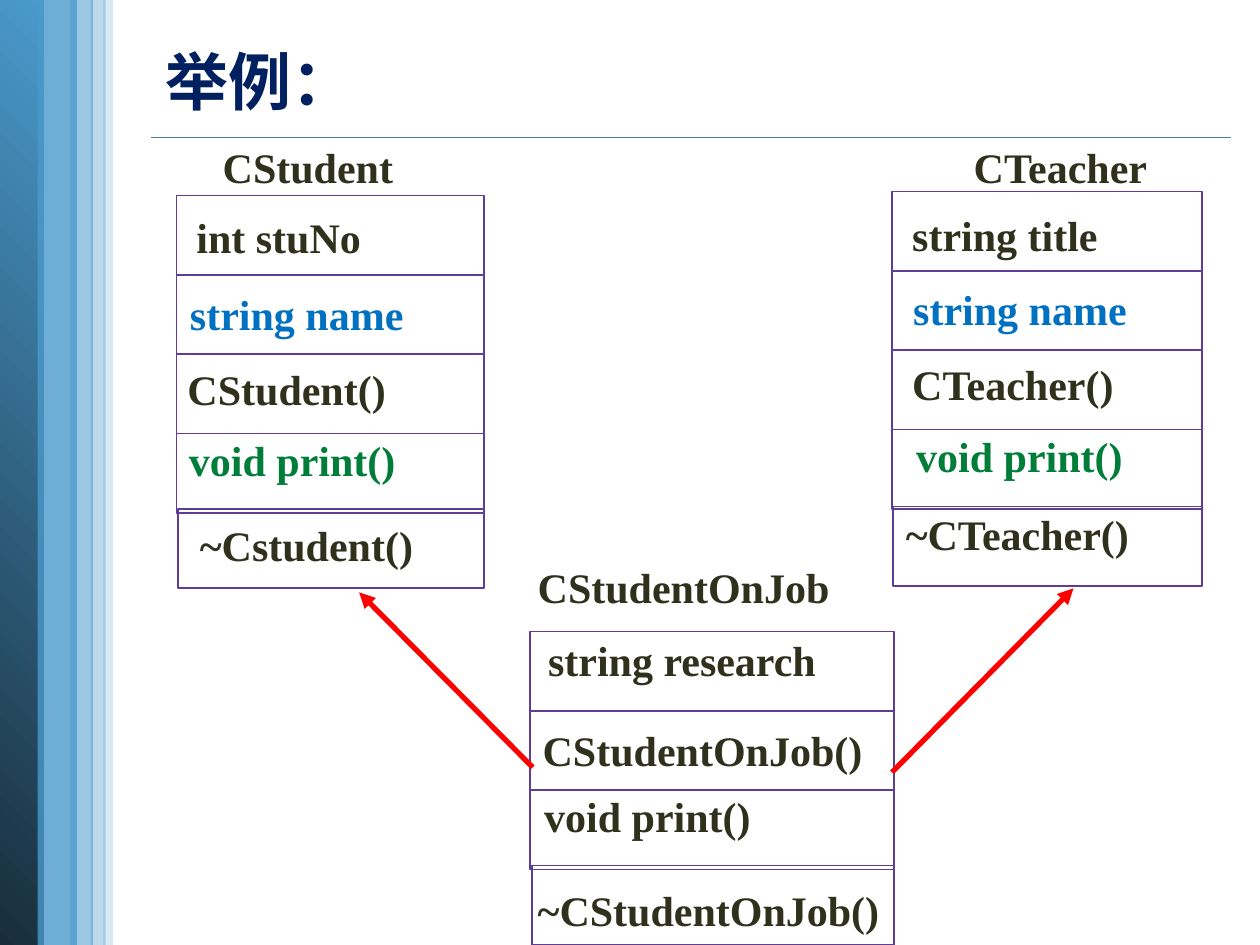
from lxml import etree
from pptx import Presentation
from pptx import util as u
from pptx.dml.color import RGBColor
from pptx.enum import shapes, text
from pptx.oxml.ns import qn

COLORS = {
    "ink": "30311D", "shared": "0070C0", "method": "007E39",
    "frame": "5D3D97", "arrow": "FF0000", "title": "002060",
    "band": "4A9ACC", "band_dark": "182D3B", "rule": "4582A7",
}
LATIN, CJK = "Times New Roman", "Noto Sans CJK SC"
PAGE_HEIGHT = 19.05
ROW_HEIGHT = 1.6
LABEL_HEIGHT = 1.27

# Bands: left, width, opacity in percent
BANDS = [(0.76, 0.79, 80), (2.08, 0.2, 20), (1.42, 0.46, 54), (1.83, 0.3, 37)]

# Frame: left, top, width, rows, overlap of the last row.
# Labels: text, left, top, width, wrap, colour.
CLASSES = [
    ((3.56, 3.94, 6.2, 5, 0.08), [
        ("CStudent", 4.24, 2.72, 3.99, False, "ink"),
        ("int stuNo", 3.71, 4.14, 4.09, False, "ink"),
        ("string name", 3.58, 5.69, 6.48, True, "shared"),
        ("CStudent()", 3.53, 7.21, 7.24, True, "ink"),
        ("void print()", 3.56, 8.64, 4.93, False, "method"),
        ("~Cstudent()", 3.78, 10.34, 6.55, True, "ink"),
    ]),
    ((17.98, 3.86, 6.25, 5, 0.05), [
        ("CTeacher", 19.38, 2.72, 4.04, False, "ink"),
        ("string title", 18.14, 4.09, 4.5, False, "ink"),
        ("string name", 18.16, 5.59, 7.24, True, "shared"),
        ("CTeacher()", 18.14, 7.11, 4.82, False, "ink"),
        ("void print()", 18.22, 8.56, 6.09, True, "method"),
        ("~CTeacher()", 18.01, 10.13, 6.65, True, "ink"),
    ]),
    ((10.69, 12.73, 7.34, 4, 0.08), [
        ("CStudentOnJob", 10.59, 11.2, 6.45, False, "ink"),
        ("string research", 10.8, 12.67, 6.19, False, "ink"),
        ("CStudentOnJob()", 10.69, 14.48, 6.96, True, "ink"),
        ("void print()", 10.72, 15.82, 6.3, True, "ink"),
        ("~CStudentOnJob()", 10.59, 17.7, 8.53, True, "ink"),
    ]),
]
INHERITANCE = [((10.74, 15.47), (7.24, 11.94)), ((17.98, 15.57), (21.64, 11.86))]


def rgb(name):
    return RGBColor.from_string(COLORS[name])


class Sketch:
    """Holds the style and the page being drawn; lengths are in centimetres."""

    def __init__(self, page):
        self.page = page

    def rectangle(self, left, top, width, height):
        box = self.page.shapes.add_shape(
            shapes.MSO_SHAPE.RECTANGLE, *map(u.Cm, (left, top, width, height)))
        box.shadow.inherit = False
        return box

    def band(self, left, width, opacity):
        box = self.rectangle(left, 0, width, PAGE_HEIGHT)
        box.line.fill.background()
        box.fill.solid()
        box.fill.fore_color.rgb = rgb("band")
        color = box.fill._xPr.find(qn("a:solidFill"))[0]
        etree.SubElement(color, qn("a:alpha")).set("val", str(opacity * 1000))

    def gradient_band(self, width):
        box = self.rectangle(0, 0, width, PAGE_HEIGHT)
        box.line.fill.background()
        box.fill.gradient()
        box.fill.gradient_angle = 45
        for stop, position, name in zip(
                box.fill.gradient_stops, (0, 1), ("band_dark", "band")):
            stop.position = position
            stop.color.rgb = rgb(name)

    def class_frame(self, left, top, width, rows, overlap):
        for row in range(rows):
            last = row == rows - 1
            inset = 0.03 if last else 0
            box = self.rectangle(
                left + inset, top + row * ROW_HEIGHT - (overlap if last else 0),
                width - inset, ROW_HEIGHT)
            box.fill.background()
            box.line.color.rgb = rgb("frame")
            box.line.width = u.Pt(1)

    def label(self, words, left, top, width, wrap, color):
        box = self.page.shapes.add_textbox(
            *map(u.Cm, (left, top, width, LABEL_HEIGHT)))
        frame = box.text_frame
        frame.word_wrap = wrap
        frame.auto_size = text.MSO_AUTO_SIZE.SHAPE_TO_FIT_TEXT
        frame.text = words
        self.format_span(frame.paragraphs[0].runs[0], LATIN, 24, color)

    def format_span(self, span, font, size, color):
        span.font.name = font
        span.font.size = u.Pt(size)
        span.font.bold = True
        span.font.color.rgb = rgb(color)

    def line(self, start, end, color, width, arrow=False):
        connector = self.page.shapes.add_connector(
            shapes.MSO_CONNECTOR.STRAIGHT, *map(u.Cm, (*start, *end)))
        connector.line.color.rgb = rgb(color)
        connector.line.width = u.Pt(width)
        if arrow:
            outline = connector.line._get_or_add_ln()
            etree.SubElement(outline, qn("a:tailEnd")).set("type", "triangle")
        etree.SubElement(connector._element.spPr, qn("a:effectLst"))

    def title(self, words):
        box = self.page.shapes.title
        box.left, box.top, box.width, box.height = map(u.Cm, (1.91, 0, 23.49, 2.29))
        frame = box.text_frame
        frame.margin_left = frame.margin_right = frame.margin_bottom = 0
        frame.margin_top = u.Cm(0.76)
        frame.vertical_anchor = text.MSO_ANCHOR.MIDDLE
        frame.auto_size = text.MSO_AUTO_SIZE.NONE
        frame.text = words
        para = frame.paragraphs[0]
        para.alignment = text.PP_ALIGN.LEFT
        para.line_spacing = u.Pt(48.9)
        properties = para._p.get_or_add_pPr()
        properties.set("marL", str(u.Cm(1.42)))
        properties.set("indent", "0")
        span = para.runs[0]
        self.format_span(span, CJK, 36, "title")
        etree.SubElement(span._r.get_or_add_rPr(), qn("a:ea")).set("typeface", CJK)


def main():
    deck = Presentation()
    deck.slide_width, deck.slide_height = u.Cm(25.4), u.Cm(PAGE_HEIGHT)
    sketch = Sketch(deck.slides.add_slide(deck.slide_layouts[5]))
    sketch.line((3.05, 2.77), (24.82, 2.77), "rule", 1)
    sketch.gradient_band(0.88)
    for band in BANDS:
        sketch.band(*band)
    sketch.title("举例：")
    for frame, labels in CLASSES:
        sketch.class_frame(*frame)
        for label in labels:
            sketch.label(*label)
    for start, end in INHERITANCE:
        sketch.line(start, end, "arrow", 3, arrow=True)
    deck.save("out.pptx")


if __name__ == "__main__":
    main()
